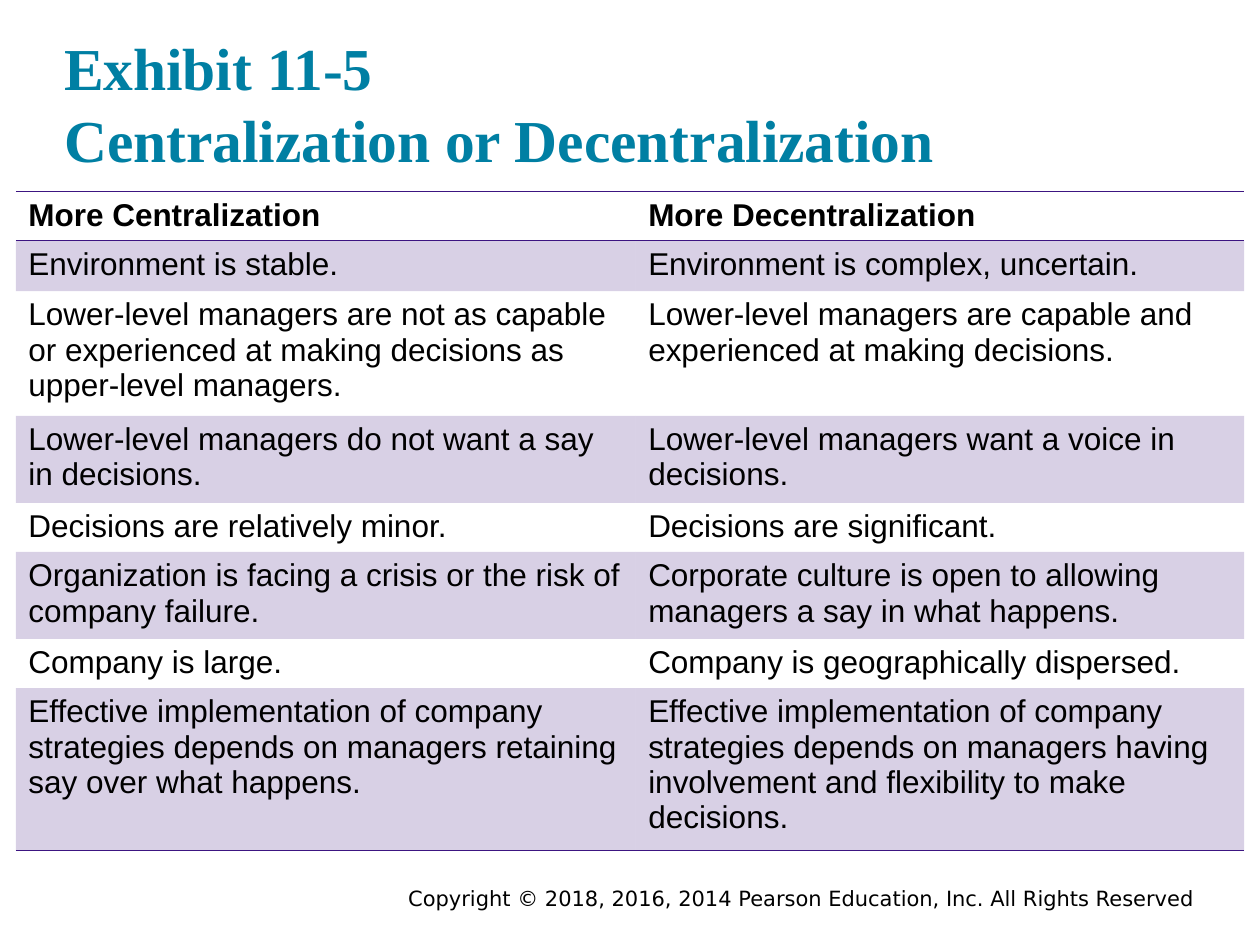
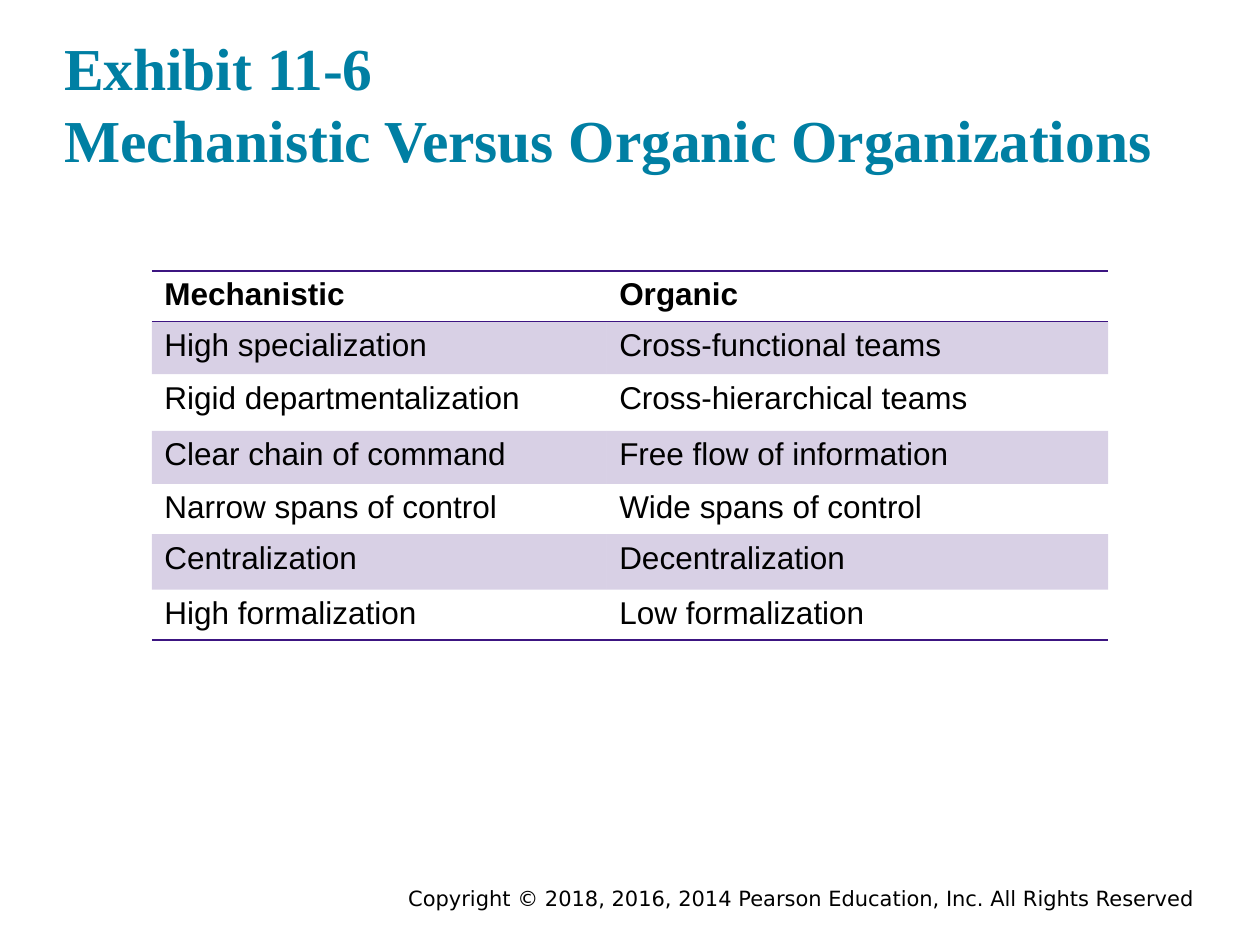
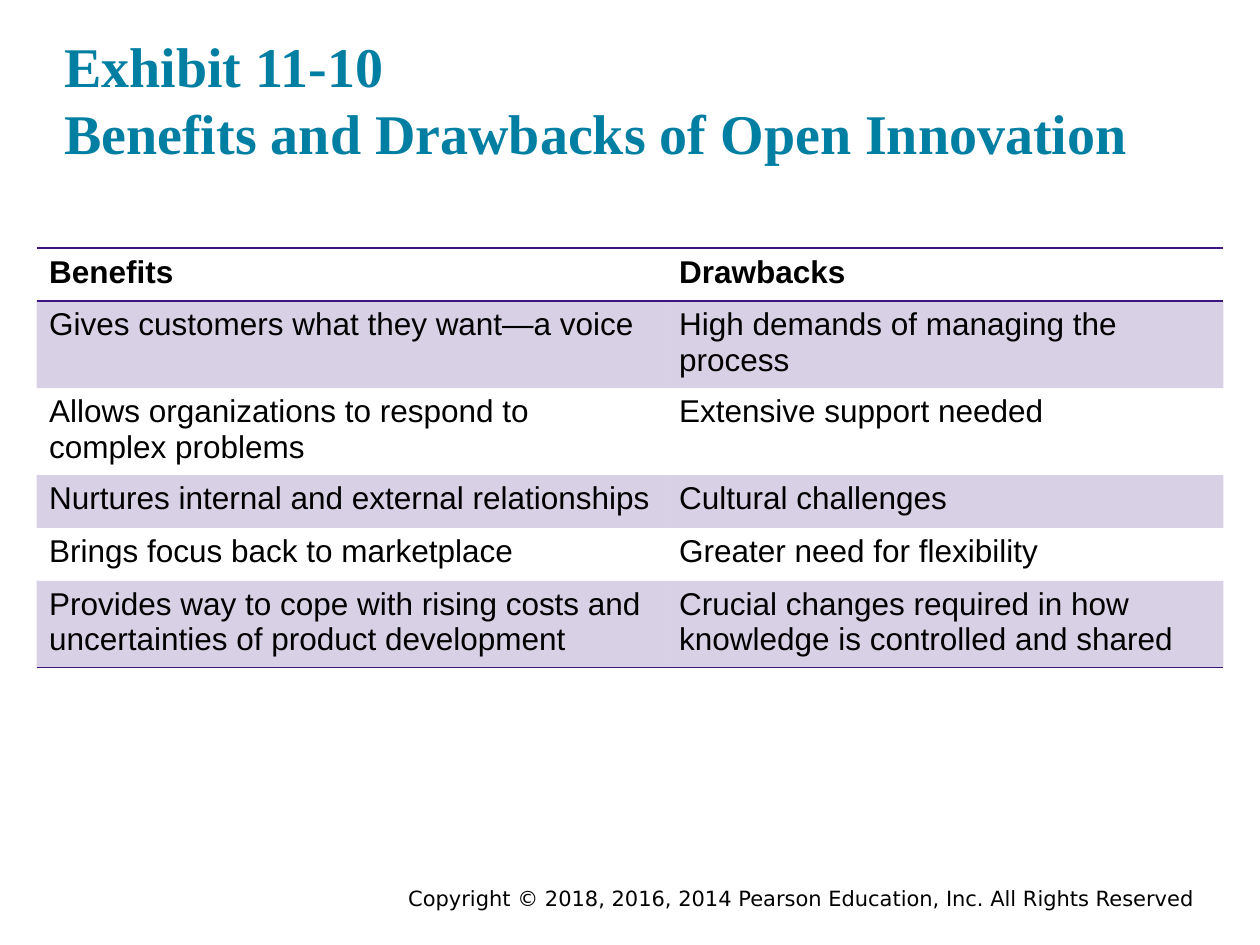
from lxml import etree
from pptx import Presentation, util as u
from pptx.dml.color import RGBColor
from pptx.enum import text as t
from pptx.oxml import ns

TEAL = RGBColor(0x00, 0x7F, 0xA3)
PLUM = RGBColor(0x3C, 0x15, 0x81)
BLACK = RGBColor(0, 0, 0)
TINT = 20
PLAIN = "{2D5ABB26-0587-4C30-8999-92F81FD0307C}"
WIDE, HIGH = 10, 7.5
FOOT = "Copyright © 2018, 2016, 2014 Pearson Education, Inc. All Rights Reserved"

PAGES = [
    dict(
        title="Exhibit 11-5\nCentralization or Decentralization",
        size=34, top=1.52, cols=(4.92, 4.83),
        tall=(0.38, 0.4, 0.95, 0.67, 0.38, 0.67, 0.38, 1.24),
        rows=[
            ("More Centralization", "More Decentralization"),
            ("Environment is stable.", "Environment is complex, uncertain."),
            ("Lower-level managers are not as capable or experienced at making "
             "decisions as upper-level managers.",
             "Lower-level managers are capable and experienced at making decisions."),
            ("Lower-level managers do not want a say in decisions.",
             "Lower-level managers want a voice in decisions."),
            ("Decisions are relatively minor.", "Decisions are significant."),
            ("Organization is facing a crisis or the risk of company failure.",
             "Corporate culture is open to allowing managers a say in what happens."),
            ("Company is large.", "Company is geographically dispersed."),
            ("Effective implementation of company strategies depends on managers "
             "retaining say over what happens.",
             "Effective implementation of company strategies depends on managers "
             "having involvement and flexibility to make decisions."),
        ]),
    dict(
        title="Exhibit 11-6\nMechanistic Versus Organic Organizations",
        size=34, top=2.15, cols=(3.61, 3.98),
        tall=(0.4, 0.42, 0.45, 0.42, 0.4, 0.44, 0.4),
        rows=[
            ("Mechanistic", "Organic"),
            ("High specialization", "Cross-functional teams"),
            ("Rigid departmentalization", "Cross-hierarchical teams"),
            ("Clear chain of command", "Free flow of information"),
            ("Narrow spans of control", "Wide spans of control"),
            ("Centralization", "Decentralization"),
            ("High formalization", "Low formalization"),
        ]),
    dict(
        title="Exhibit 11-10\nBenefits and Drawbacks of Open Innovation",
        size=32, top=1.97, cols=(5, 4.42),
        tall=(0.42, 0.66, 0.66, 0.42, 0.42, 0.66),
        rows=[
            ("Benefits", "Drawbacks"),
            ("Gives customers what they want—a voice",
             "High demands of managing the process"),
            ("Allows organizations to respond to complex problems",
             "Extensive support needed"),
            ("Nurtures internal and external relationships", "Cultural challenges"),
            ("Brings focus back to marketplace", "Greater need for flexibility"),
            ("Provides way to cope with rising costs and uncertainties of product "
             "development",
             "Crucial changes required in how knowledge is controlled and shared"),
        ]),
]


def style(para, face, size, ink, bold=False):
    for run in para.runs:
        font = run.font
        font.name, font.size, font.bold = face, u.Pt(size), bold
        font.color.rgb = ink


def label(slide, words, area):
    box = slide.shapes.add_textbox(*[u.Inches(n) for n in area])
    frame = box.text_frame
    frame.word_wrap = True
    para = frame.paragraphs[0]
    para.text = words
    return frame, para


def head(slide, words, size):
    frame, para = label(slide, words, (0.51, 0.25, 9, 1.17))
    frame.margin_left = frame.margin_right = 0
    frame.margin_top = frame.margin_bottom = 0
    style(para, "Times New Roman", size, TEAL, True)


def foot(slide):
    frame, para = label(slide, FOOT, (1.75, 6.98, 7.83, 0.3))
    frame.auto_size = t.MSO_AUTO_SIZE.SHAPE_TO_FIT_TEXT
    para.alignment = t.PP_ALIGN.RIGHT
    style(para, "DejaVu Sans", 12, BLACK)


def paint(cell, row, last):
    if row % 2:
        cell.fill.solid()
        cell.fill.fore_color.rgb = PLUM
    else:
        cell.fill.background()
    props = cell._tc.get_or_add_tcPr()
    for tone in props.iter(ns.qn("a:srgbClr")):
        etree.SubElement(tone, ns.qn("a:alpha"), val=str(TINT * 1000))
    edges = {0: ("lnT", "lnB"), last: ("lnB",)}.get(row, ())
    for spot, edge in enumerate(edges):
        line = etree.Element(ns.qn("a:" + edge), w=str(u.Pt(1)))
        fill = etree.SubElement(line, ns.qn("a:solidFill"))
        etree.SubElement(fill, ns.qn("a:srgbClr"), val=str(PLUM))
        props.insert(spot, line)


def grid(slide, page):
    rows, cols, tall = page["rows"], page["cols"], page["tall"]
    wide = sum(cols)
    area = ((WIDE - wide) / 2, page["top"], wide, sum(tall))
    shape = slide.shapes.add_table(len(rows), len(cols), *[u.Inches(n) for n in area])
    table = shape.table
    table.first_row = table.horz_banding = False
    table._tbl.tblPr.find(ns.qn("a:tableStyleId")).text = PLAIN
    for col, width in zip(table.columns, cols):
        col.width = u.Inches(width)
    for r, (line, height) in enumerate(zip(rows, tall)):
        table.rows[r].height = u.Inches(height)
        for c, words in enumerate(line):
            cell = table.cell(r, c)
            cell.margin_bottom = u.Inches(0.04)
            cell.text_frame.text = words
            style(cell.text_frame.paragraphs[0], "Arial", 18, BLACK, r == 0)
            paint(cell, r, len(rows) - 1)


def main():
    deck = Presentation()
    deck.slide_width, deck.slide_height = u.Inches(WIDE), u.Inches(HIGH)
    for page in PAGES:
        slide = deck.slides.add_slide(deck.slide_layouts[6])
        foot(slide)
        head(slide, page["title"], page["size"])
        grid(slide, page)
    deck.save("out.pptx")


if __name__ == "__main__":
    main()
